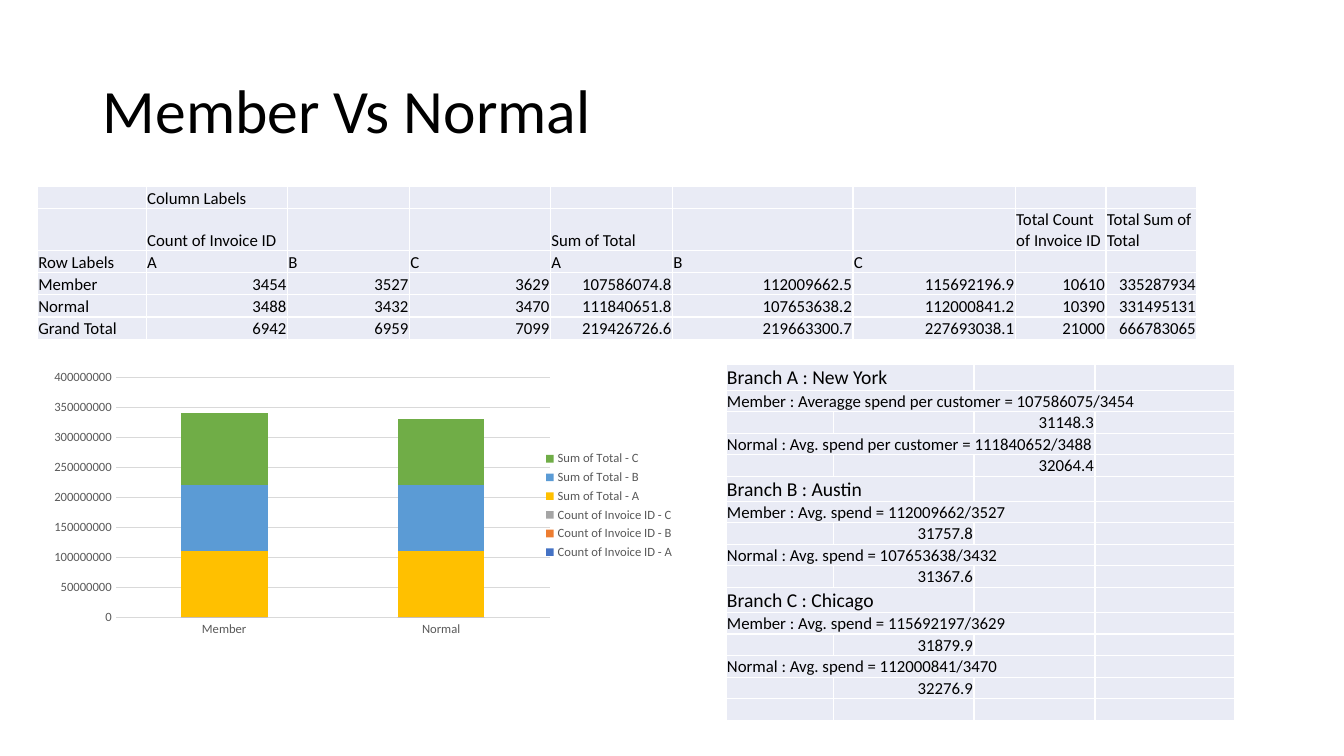
"""Build the Member Vs Normal slide: pivot table, stacked columns and branch averages."""
import lxml.etree
import pptx
import pptx.chart.data
import pptx.dml.color
import pptx.enum.chart
import pptx.enum.text
import pptx.oxml
import pptx.oxml.ns
import pptx.util

PX = 9144
THEME = {
    "font": "Calibri",
    "text": "000000",
    "muted": "595959",
    "gridline": "D9D9D9",
    "cell": "E9EBF5",
    "border": "FFFFFF",
    "series": ["4472C4", "ED7D31", "A5A5A5", "FFC000", "5B9BD5", "70AD47"],
    "title_size": 44,
    "heading_size": 14,
    "body_size": 12,
    "chart_size": 10,
    "label_size": 9,
}
rgb = pptx.dml.color.RGBColor.from_string
qn = pptx.oxml.ns.qn
LEFT, RIGHT = pptx.enum.text.PP_ALIGN.LEFT, pptx.enum.text.PP_ALIGN.RIGHT


def write_text(text_frame, text, size=THEME["body_size"], align=LEFT, spacing=None):
    paragraph = text_frame.paragraphs[0]
    paragraph.alignment = align
    paragraph.line_spacing = spacing
    if not text:
        lxml.etree.SubElement(paragraph._p, qn("a:endParaRPr"), sz=str(size * 100))
        return
    run = paragraph.add_run()
    run.text = text
    run.font.size = pptx.util.Pt(size)
    run.font.name = THEME["font"]
    run.font.color.rgb = rgb(THEME["text"])


def add_grid(left, top, widths, heights, rows, spans):
    frame = slide.shapes.add_table(len(rows), len(widths), left * PX, top * PX,
                                   sum(widths) * PX, sum(heights) * PX)
    table = frame.table
    table.first_row = table.horz_banding = False
    for column, width in zip(table.columns, widths):
        column.width = width * PX
    for row, height in zip(table.rows, heights):
        row.height = height * PX
    for row_index, texts in enumerate(rows):
        for column_index, text in enumerate(texts):
            cell = table.cell(row_index, column_index)
            cell.margin_left = cell.margin_right = cell.margin_top = PX
            cell.margin_bottom = 0
            cell.vertical_anchor = pptx.enum.text.MSO_ANCHOR.BOTTOM
            numeric = text.replace(".", "").isdigit()
            heading = text.startswith("Branch")
            write_text(cell.text_frame, text, align=RIGHT if numeric else LEFT,
                       size=THEME["heading_size" if heading else "body_size"])
            properties = cell._tc.get_or_add_tcPr()
            for side in ("lnL", "lnR", "lnT", "lnB"):
                line = lxml.etree.SubElement(properties, qn(f"a:{side}"), w="12700")
                fill = lxml.etree.SubElement(line, qn("a:solidFill"))
                lxml.etree.SubElement(fill, qn("a:srgbClr"), val=THEME["border"])
            cell.fill.solid()
            cell.fill.fore_color.rgb = rgb(THEME["cell"])
    for row_index, span in spans.items():
        table.cell(row_index, 0).merge(table.cell(row_index, span - 1))


presentation = pptx.Presentation()
presentation.slide_width = 1333 * PX
presentation.slide_height = 750 * PX
slide = presentation.slides.add_slide(presentation.slide_layouts[5])

title = slide.shapes.title
title.left, title.top, title.width, title.height = (
    length * PX for length in (92, 40, 1150, 145))
title.text_frame.vertical_anchor = pptx.enum.text.MSO_ANCHOR.MIDDLE
write_text(title.text_frame, "Member Vs Normal", size=THEME["title_size"], spacing=0.9)

pivot_data = {
    "Member": ["3454", "3527", "3629", "107586074.8", "112009662.5", "115692196.9",
               "10610", "335287934"],
    "Normal": ["3488", "3432", "3470", "111840651.8", "107653638.2", "112000841.2",
               "10390", "331495131"],
    "Grand Total": ["6942", "6959", "7099", "219426726.6", "219663300.7", "227693038.1",
                    "21000", "666783065"],
}
pivot_rows = [
    ["", "Column Labels"] + [""] * 7,
    ["", "Count of Invoice ID", "", "", "Sum of Total", "", "",
     "Total Count of Invoice ID", "Total Sum of Total"],
    ["Row Labels", *"ABCABC", "", ""],
]
pivot_rows += [[label, *values] for label, values in pivot_data.items()]
add_grid(37, 185, [108, 140, 121, 140, 121, 179, 161, 90, 90],
         [22, 41, 22, 22, 22, 22], pivot_rows, {})

customers = ["Member", "Normal"]
chart_data = pptx.chart.data.CategoryChartData()
chart_data.categories = customers
measures = [f"{measure} - {branch}"
            for measure in ("Count of Invoice ID", "Sum of Total") for branch in "ABC"]
for index, measure in enumerate(measures):
    chart_data.add_series(
        measure, [int(round(float(pivot_data[name][index]), -7)) for name in customers])
chart = slide.shapes.add_chart(pptx.enum.chart.XL_CHART_TYPE.COLUMN_STACKED,
                               26 * PX, 360 * PX, 653 * PX, 283 * PX, chart_data).chart
chart.has_title = False
chart.font.size = pptx.util.Pt(THEME["chart_size"])
chart.font.name = THEME["font"]
chart.font.color.rgb = rgb(THEME["text"])
chart.has_legend = True
chart.legend.position = pptx.enum.chart.XL_LEGEND_POSITION.RIGHT
chart.legend.include_in_layout = False
plot = chart.plots[0]
plot.gap_width = 150
plot.overlap = 100
plot.vary_by_categories = False
for series, color in zip(plot.series, THEME["series"]):
    series.format.fill.solid()
    series.format.fill.fore_color.rgb = rgb(color)
for axis in (chart.category_axis, chart.value_axis):
    axis.major_tick_mark = axis.minor_tick_mark = pptx.enum.chart.XL_TICK_MARK.NONE
    axis.format.line.fill.background()
for font in (chart.legend.font, chart.category_axis.tick_labels.font,
             chart.value_axis.tick_labels.font):
    font.size = pptx.util.Pt(THEME["label_size"])
    font.name = THEME["font"]
    font.color.rgb = rgb(THEME["muted"])
chart.value_axis.tick_labels.number_format = "0"
chart.value_axis.tick_labels.number_format_is_linked = False
gridlines = chart.value_axis.major_gridlines.format.line
gridlines.width = pptx.util.Pt(0.75)
gridlines.color.rgb = rgb(THEME["gridline"])

plot_area = chart.element.find(".//" + qn("c:plotArea"))
for layout in plot_area.findall(qn("c:layout")):
    plot_area.remove(layout)
layout = pptx.oxml.parse_xml(f"<c:layout {pptx.oxml.ns.nsdecls('c')}><c:manualLayout/></c:layout>")
plot_area.insert(0, layout)
for tag, value in [("layoutTarget", "inner"), ("xMode", "edge"), ("yMode", "edge"),
                   ("x", "0.136"), ("y", "0.051"), ("w", "0.659"), ("h", "0.842")]:
    lxml.etree.SubElement(layout[0], qn(f"c:{tag}"), val=value)

branches = [
    ("Branch A : New York", 2, [
        ("Member : Averagge spend per customer = 107586075/3454", 4, "31148.3"),
        ("Normal : Avg. spend per customer = 111840652/3488", 3, "32064.4")]),
    ("Branch B : Austin", 1, [
        ("Member : Avg. spend = 112009662/3527", 3, "31757.8"),
        ("Normal : Avg. spend = 107653638/3432", 3, "31367.6")]),
    ("Branch C : Chicago", 1, [
        ("Member : Avg. spend = 115692197/3629", 3, "31879.9"),
        ("Normal : Avg. spend = 112000841/3470", 3, "32276.9")]),
]
branch_rows, branch_heights, branch_spans = [], [], {}
for heading, result_column, averages in branches:
    branch_spans[len(branch_rows)] = 2
    branch_rows.append([heading, "", "", ""])
    branch_heights += [25, 21, 21, 21, 21]
    for formula, span, result in averages:
        branch_spans[len(branch_rows)] = span
        branch_rows.append([formula, "", "", ""])
        branch_rows.append([result if column == result_column else "" for column in range(4)])
branch_rows.append([""] * 4)
branch_heights.append(21)
add_grid(720, 362, [107, 139, 120, 139], branch_heights, branch_rows, branch_spans)

presentation.save("out.pptx")
